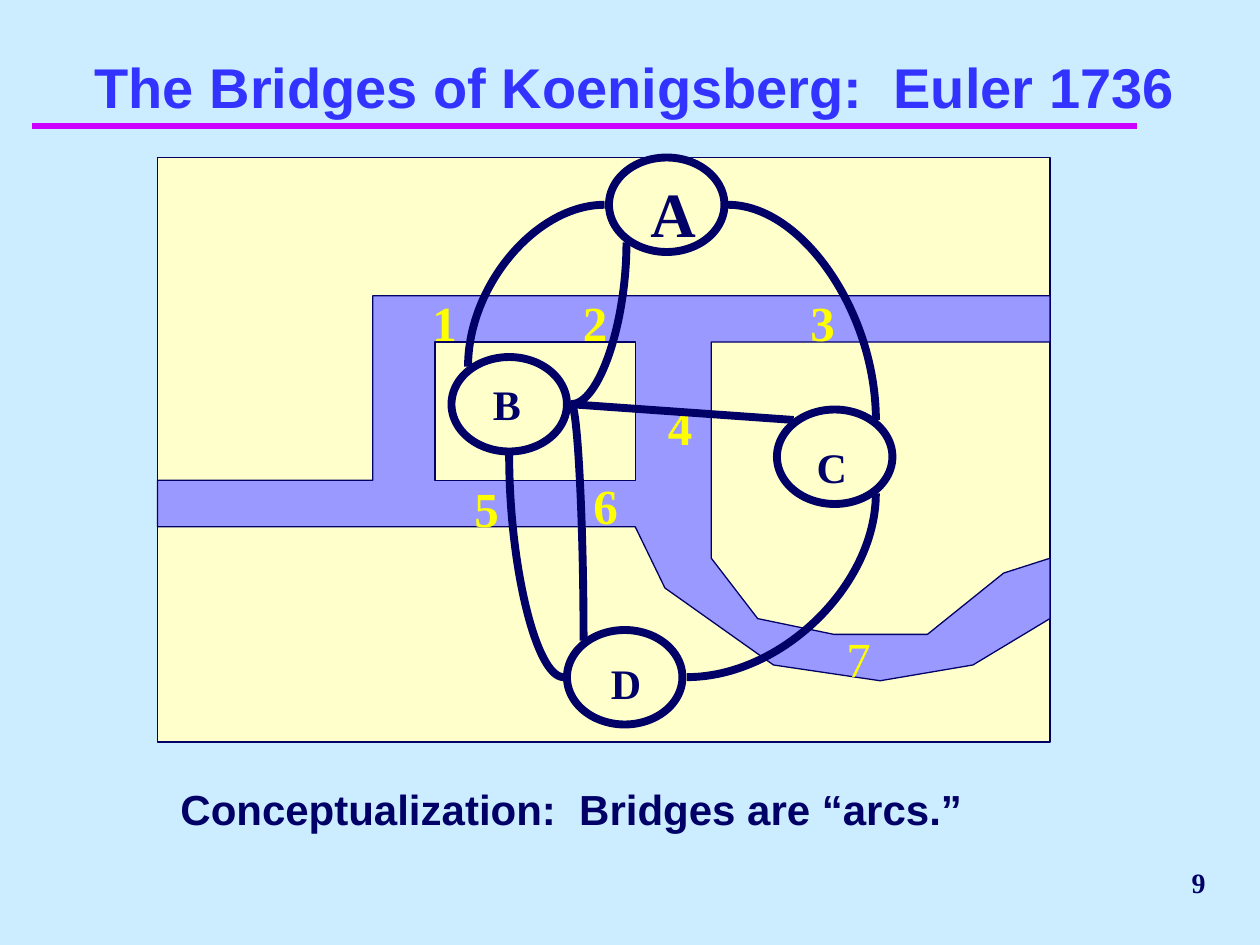
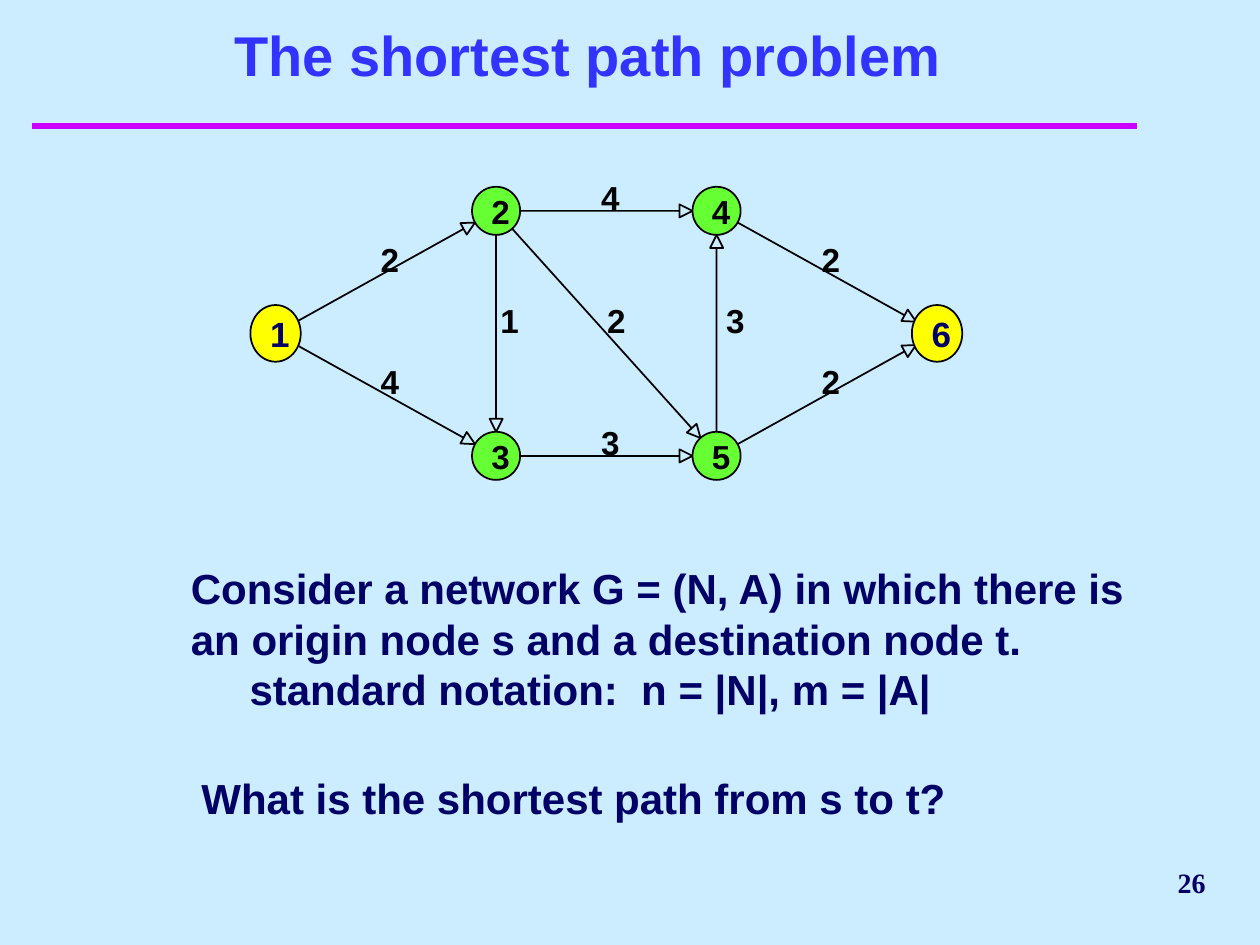
import math

import pptx
import pptx.dml.color
import pptx.enum.shapes
import pptx.enum.text
import pptx.oxml.ns
import pptx.util
from lxml import etree

Pt = pptx.util.Pt
RGBColor = pptx.dml.color.RGBColor
Align = pptx.enum.text.PP_ALIGN
Anchor = pptx.enum.text.MSO_ANCHOR
AutoSize = pptx.enum.text.MSO_AUTO_SIZE
Shape = pptx.enum.shapes.MSO_SHAPE
Connector = pptx.enum.shapes.MSO_CONNECTOR

SKY = RGBColor(0xCC, 0xEC, 0xFF)
MAGENTA = RGBColor(0xCC, 0x00, 0xFF)
BLUE = RGBColor(0x33, 0x33, 0xFF)
NAVY = RGBColor(0x00, 0x00, 0x66)
BLACK = RGBColor(0x00, 0x00, 0x00)
YELLOW = RGBColor(0xFF, 0xFF, 0x00)
GREEN = RGBColor(0x66, 0xFF, 0x33)
LAND = RGBColor(0xFF, 0xFF, 0xCC)
WATER = RGBColor(0x99, 0x99, 0xFF)
SANS = "Arial"
SERIF = "Times New Roman"


class Board:
    def __init__(self):
        self.deck = pptx.Presentation()
        self.deck.slide_width = Pt(720)
        self.deck.slide_height = Pt(540)
        background = self.deck.slide_master.background.fill
        background.solid()
        background.fore_color.rgb = SKY
        self.page = None

    def start_page(self, title, title_box, number):
        self.page = self.deck.slides.add_slide(self.deck.slide_layouts[5])
        self.connector((18, 72), (650, 72), MAGENTA, 4)
        self.text([number], (558, 486, 138, 36), 16, SERIF, align=Align.RIGHT, anchor=Anchor.MIDDLE)
        holder = self.page.shapes.title
        holder.left, holder.top, holder.width, holder.height = map(Pt, title_box)
        frame = holder.text_frame
        frame.auto_size = AutoSize.NONE
        frame.vertical_anchor = Anchor.BOTTOM
        self.add_words(frame.paragraphs[0], title, 32, SANS, BLUE, align=Align.CENTER)

    def add_words(self, para, words, size, font, color, bold=True, align=Align.LEFT):
        para.alignment = align
        span = para.add_run()
        span.text = words
        span.font.size = Pt(size)
        span.font.name = font
        span.font.bold = bold
        span.font.color.rgb = color

    def text(self, lines, bounds, size, font, color=NAVY, bold=True, align=Align.LEFT,
             anchor=Anchor.TOP, before=0, inset=True, indent=0):
        box = self.page.shapes.add_textbox(*map(Pt, bounds))
        frame = box.text_frame
        frame.word_wrap = inset
        frame.vertical_anchor = anchor
        if not inset:
            frame.margin_left = frame.margin_right = frame.margin_top = frame.margin_bottom = 0
        for index, words in enumerate(lines):
            para = frame.add_paragraph() if index else frame.paragraphs[0]
            self.add_words(para, words, size, font, color, bold, align)
            if index:
                para._p.get_or_add_pPr().set("marL", str(Pt(indent)))
            elif before:
                para.space_before = Pt(before)

    def finish(self, shape, fill, line, width):
        shape.shadow.inherit = False
        if fill is None:
            shape.fill.background()
        else:
            shape.fill.solid()
            shape.fill.fore_color.rgb = fill
        shape.line.color.rgb = line
        shape.line.width = Pt(width)
        return shape

    def shape(self, kind, bounds, fill, line=NAVY, width=0.75):
        return self.finish(self.page.shapes.add_shape(kind, *map(Pt, bounds)), fill, line, width)

    def outline(self, points, fill, line=NAVY, width=0.75, close=True):
        corners = [(Pt(x), Pt(y)) for x, y in points]
        builder = self.page.shapes.build_freeform(*corners[0])
        builder.add_line_segments(corners[1:], close=close)
        self.finish(builder.convert_to_shape(), fill, line, width)

    def connector(self, start, end, color, width, curved=False):
        kind = Connector.CURVE if curved else Connector.STRAIGHT
        line = self.page.shapes.add_connector(kind, *map(Pt, start + end))
        line.line.color.rgb = color
        line.line.width = Pt(width)
        properties = line._element.spPr
        etree.SubElement(properties, pptx.oxml.ns.qn("a:effectLst"))
        if curved:
            properties.find(pptx.oxml.ns.qn("a:prstGeom")).set("prst", "curvedConnector2")

    def node(self, name, center, width, height, fill, size, color):
        x, y = center
        bounds = (x - width / 2, y - height / 2, width, height)
        oval = self.shape(Shape.OVAL, bounds, fill, BLACK, 1)
        frame = oval.text_frame
        frame.word_wrap = False
        frame.vertical_anchor = Anchor.MIDDLE
        self.add_words(frame.paragraphs[0], name, size, SANS, color)

    def arrow(self, start, end, radius, head=7.5):
        length = math.dist(start, end)
        ux, uy = (end[0] - start[0]) / length, (end[1] - start[1]) / length

        def at(along, across=0):
            return (start[0] + ux * along - uy * across, start[1] + uy * along + ux * across)

        tip = length - radius
        neck = tip - head
        points = [at(radius), at(neck), at(neck, head / 2), at(tip), at(neck, -head / 2), at(neck)]
        self.outline(points, None, BLACK, 1, close=False)


RIVER = [
    (90, 274.5), (213, 274.5), (213, 169), (600, 169), (600, 195.5), (406.5, 195.5),
    (406.5, 319), (433, 353.5), (476.5, 362.5), (530, 362.5), (573.5, 327.5), (600, 319),
    (600, 353.5), (556, 380), (503, 389), (442, 380), (380, 336), (363, 301), (90, 301),
]
BRIDGES = {
    "1": (240, 163.5), "2": (326, 163.5), "3": (456, 163.5), "4": (374.5, 223),
    "5": (264, 270), "6": (332, 268), "7": (476.5, 355.5),
}
LANDS = [
    ("A", 36, (348, 90), (364.5, 96)),
    ("B", 24, (258, 204), (274.5, 213)),
    ("C", 24, (444, 234), (459.5, 248.5)),
    ("D", 24, (324, 360), (342, 372)),
]
ARCS = [
    ((345.5, 117), (267.5, 209.5)),
    ((326.5, 231), (358, 138.5)),
    ((326.5, 231), (333.5, 366)),
    ((322, 387), (291, 260)),
    ((392.5, 387), (500.5, 282)),
    ((416, 117), (500.5, 240)),
]


def bridges_page(board):
    board.start_page("The Bridges of Koenigsberg:  Euler 1736", (30, 6, 666, 66), "9")
    board.shape(Shape.RECTANGLE, (90, 90, 510, 334), LAND)
    board.outline(RIVER, WATER)
    board.shape(Shape.RECTANGLE, (248.5, 195.5, 114.5, 79), LAND)
    for number, corner in BRIDGES.items():
        board.text([number], corner + (46, 41), 28, SERIF, YELLOW, bold=number != "7", before=17.5)
    board.text(["Conceptualization:  Bridges are “arcs.”"], (96, 444, 600, 36), 24, SANS, before=15)
    for letter, size, oval_corner, letter_corner in LANDS:
        board.text([letter], letter_corner + (62, size * 1.4), size, SERIF, before=size * 0.625)
        board.shape(Shape.OVAL, oval_corner + (66, 54), None, width=4.5)
    for start, end in ARCS:
        board.connector(start, end, NAVY, 4.5, curved=True)
    board.connector((326.5, 231), (453.5, 240), NAVY, 4.5)


COLUMNS = [157.5 + 126 * step for step in range(4)]
ROWS = [120.5 + 70 * step for step in range(3)]
NODES = {
    name: (COLUMNS[column], ROWS[row])
    for name, column, row in [("1", 0, 1), ("2", 1, 0), ("3", 1, 2), ("4", 2, 0), ("5", 2, 2), ("6", 3, 1)]
}
EDGES = [
    ("1", "2", "2", -3), ("2", "4", "4", -3), ("2", "5", "2", 0.5), ("2", "3", "1", 2.5),
    ("3", "5", "3", -3), ("1", "3", "4", -3), ("4", "6", "2", -3), ("5", "4", "3", 5.5),
    ("5", "6", "2", -3),
]


def shortest_path_page(board):
    board.start_page("The shortest path problem", (30, 12, 612, 42), "26")
    for tail, head, weight, shift in EDGES:
        start, end = NODES[tail], NODES[head]
        board.arrow(start, end, 13.75)
        corner = ((start[0] + end[0]) / 2 + shift, (start[1] + end[1]) / 2 - 19)
        board.text([weight], corner + (10.5, 23), 19, SANS, BLACK, inset=False)
    for name, center in NODES.items():
        if name in ("1", "6"):
            board.node(name, center, 28.8, 32.4, YELLOW, 20, NAVY)
        else:
            board.node(name, center, 27.5, 27.5, GREEN, 19, BLACK)
    board.text(
        ["Consider a network G = (N, A) in which there is an origin node s and a destination node t.",
         "standard notation:  n = |N|, m = |A|"],
        (102, 318, 564, 94), 24, SANS, before=15, indent=33.5)
    board.text(["What is the shortest path from s to t?"], (108, 438, 564, 36), 24, SANS, before=15)


def main():
    board = Board()
    bridges_page(board)
    shortest_path_page(board)
    board.deck.save("out.pptx")


if __name__ == "__main__":
    main()
